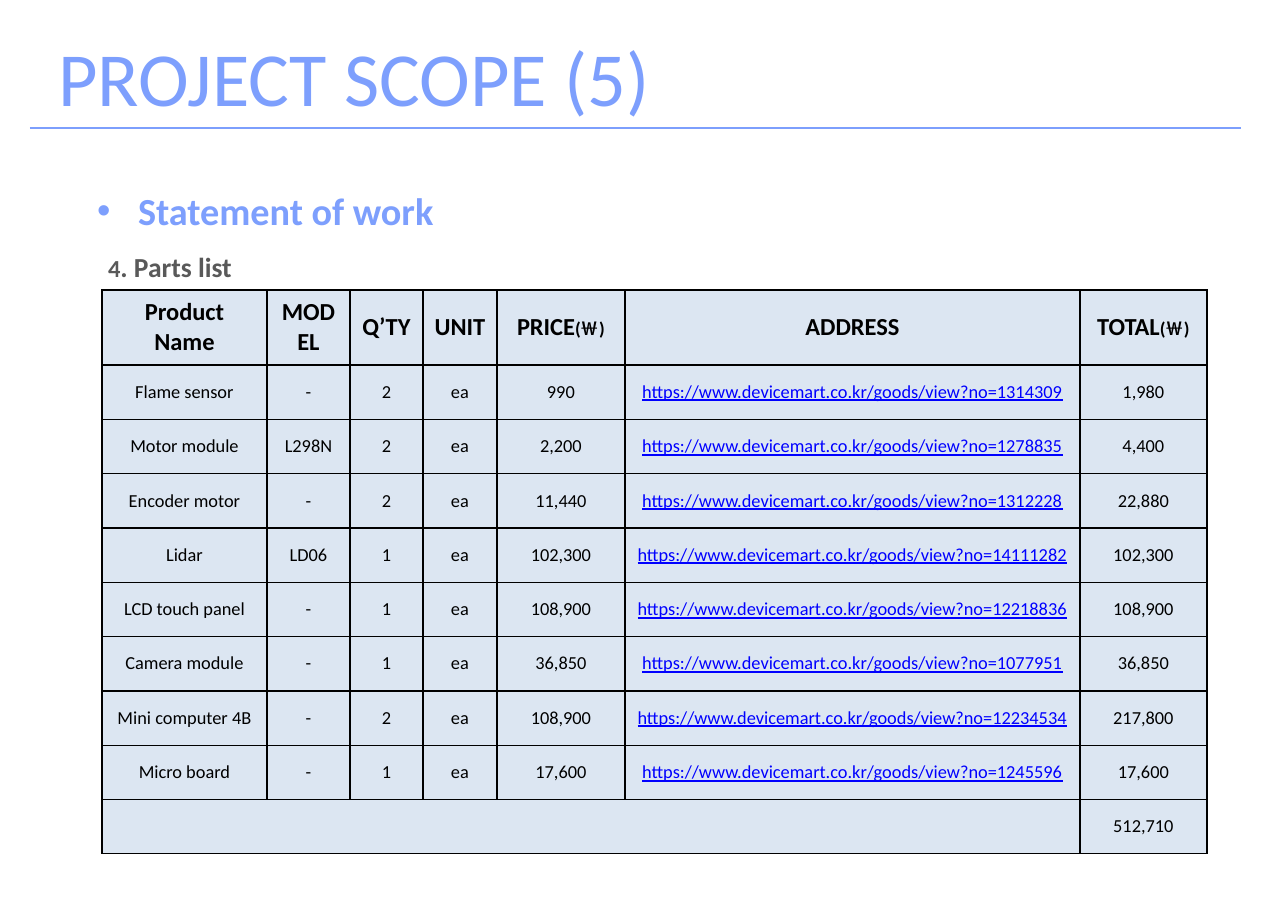
from lxml import etree
from pptx import Presentation
from pptx.dml.color import RGBColor
from pptx.enum.shapes import MSO_CONNECTOR
from pptx.enum.text import MSO_ANCHOR, MSO_AUTO_SIZE, PP_ALIGN
from pptx.oxml import parse_xml
from pptx.oxml.ns import nsdecls, qn
from pptx.util import Pt

PX = 8305  # EMU per px
MIDDLE = MSO_ANCHOR.MIDDLE
LEFT, CENTER = PP_ALIGN.LEFT, PP_ALIGN.CENTER
BLUE, GRAY, BLACK, LINK, PALE = "7D9FFD", "595959", "000000", "0000FF", "DCE6F2"


def color(code):
    return RGBColor.from_string(code)


def add_run(para, text, size, code, bold=False, under=False):
    run = para.add_run()
    run.text = text
    font = run.font
    font.name, font.size = "Calibri", Pt(size)
    font.bold, font.underline = bold, under
    font.color.rgb = color(code)


prs = Presentation()
prs.slide_width, prs.slide_height = 1288 * PX, 911 * PX
slide = prs.slides.add_slide(prs.slide_layouts[1])
title, body = slide.placeholders

# Title and list
for holder, box in ((title, (47, 24, 620, 104)), (body, (86, 159, 362, 126))):
    holder.left, holder.top, holder.width, holder.height = [n * PX for n in box]
    holder.text_frame.word_wrap = False
    holder.text_frame.auto_size = MSO_AUTO_SIZE.NONE

para = title.text_frame.paragraphs[0]
para.alignment = LEFT
add_run(para, "PROJECT SCOPE (5)", 50, BLUE)

work = body.text_frame.paragraphs[0]
parts = body.text_frame.add_paragraph()
for para, margin, indent in ((work, 41, -41), (parts, 11, 0)):
    props = para._p.get_or_add_pPr()
    props.set("marL", str(margin * PX))
    props.set("indent", str(indent * PX))
    para.line_spacing = 1.5
    para.space_before = Pt(0)
etree.SubElement(parts._p.pPr, qn("a:buNone"))
add_run(work, "Statement of work", 25, BLUE, True)
add_run(parts, "4", 16, GRAY, True)
add_run(parts, ". Parts list", 18, GRAY, True)

# Rule below the title
rule = slide.shapes.add_connector(
    MSO_CONNECTOR.STRAIGHT, 30 * PX, 128 * PX, 1241 * PX, 128 * PX)
rule.line.color.rgb = color(BLUE)
rule.line.width = Pt(1.5)
etree.SubElement(rule._element.spPr, qn("a:effectLst"))

# Parts table
heads = ["Product Name", "MODEL", "Q’TY", "UNIT", "PRICE", "ADDRESS", "TOTAL"]
shop = "https://www.devicemart.co.kr/goods/view?no="
items = [
    ("Flame sensor", "-", "2", "990", "1314309", "1,980"),
    ("Motor module", "L298N", "2", "2,200", "1278835", "4,400"),
    ("Encoder motor", "-", "2", "11,440", "1312228", "22,880"),
    ("Lidar", "LD06", "1", "102,300", "14111282", "102,300"),
    ("LCD touch panel", "-", "1", "108,900", "12218836", "108,900"),
    ("Camera module", "-", "1", "36,850", "1077951", "36,850"),
    ("Mini computer 4B", "-", "2", "108,900", "12234534", "217,800"),
    ("Micro board", "-", "1", "17,600", "1245596", "17,600"),
]
rows = [heads]
for name, model, count, price, code, total in items:
    rows.append([name, model, count, "ea", price, shop + code, total])
rows.append([""] * 6 + ["512,710"])

widths = [165, 83, 73, 74, 128, 455, 127]
head_h, full_h = 75, 564
frame = slide.shapes.add_table(
    len(rows), len(widths), 102 * PX, 290 * PX, sum(widths) * PX, full_h * PX)
table = frame.table
table.horz_banding = False
for col, width in zip(table.columns, widths):
    col.width = width * PX
for row in table.rows:
    row.height = (full_h - head_h) * PX // (len(rows) - 1)
table.rows[0].height = head_h * PX

for r, texts in enumerate(rows):
    for c, text in enumerate(texts):
        cell = table.cell(r, c)
        cell.vertical_anchor = MIDDLE
        for side in "LRTB":
            cell._tc.get_or_add_tcPr().append(parse_xml(
                f'<a:ln{side} {nsdecls("a")} w="12700"><a:solidFill>'
                f'<a:srgbClr val="{BLACK}"/></a:solidFill></a:ln{side}>'))
        cell.fill.solid()
        cell.fill.fore_color.rgb = color(PALE)
        para = cell.text_frame.paragraphs[0]
        para.alignment = CENTER
        if r == 0:
            add_run(para, text, 16, BLACK, True)
            if text in ("PRICE", "TOTAL"):
                add_run(para, "(￦)", 12, BLACK, True)
        elif text.startswith(shop):
            add_run(para, text, 12, LINK, under=True)
        elif text:
            add_run(para, text, 12, BLACK)

last = len(rows) - 1
table.cell(last, 0).merge(table.cell(last, 5))

prs.save("out.pptx")
